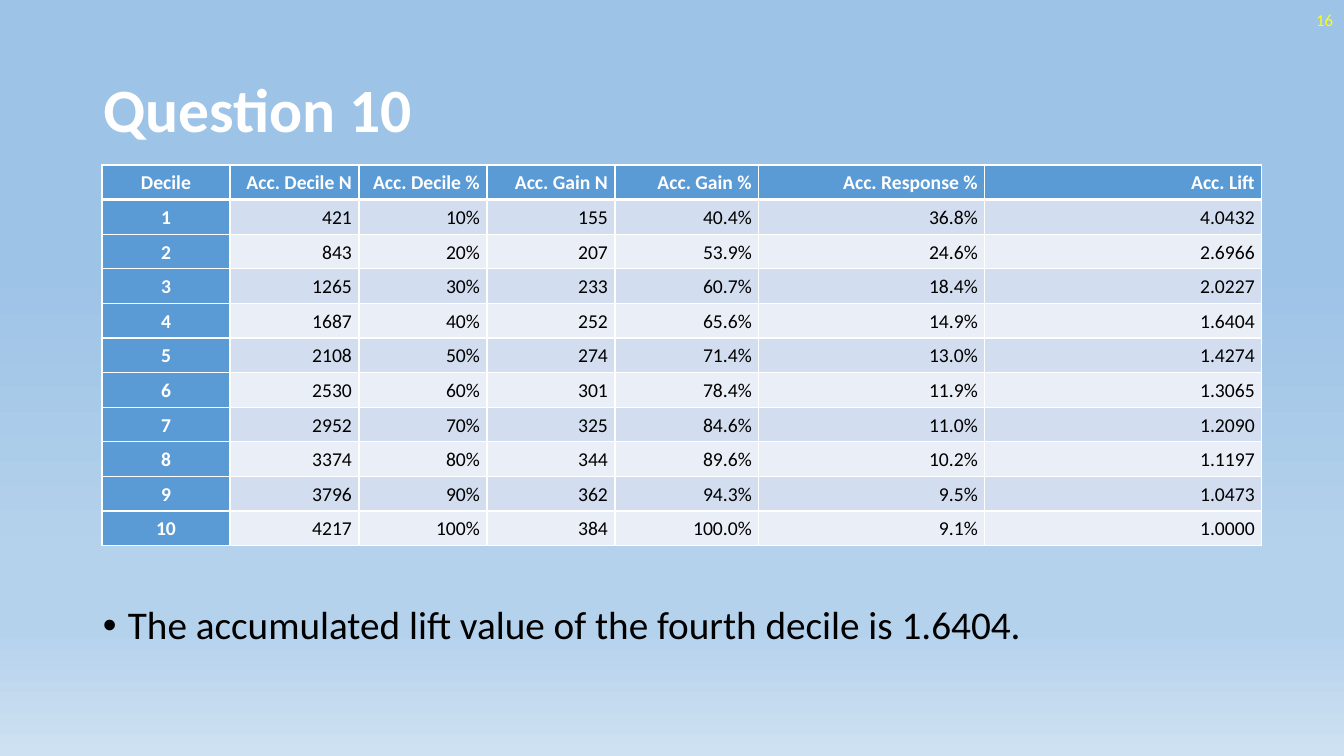
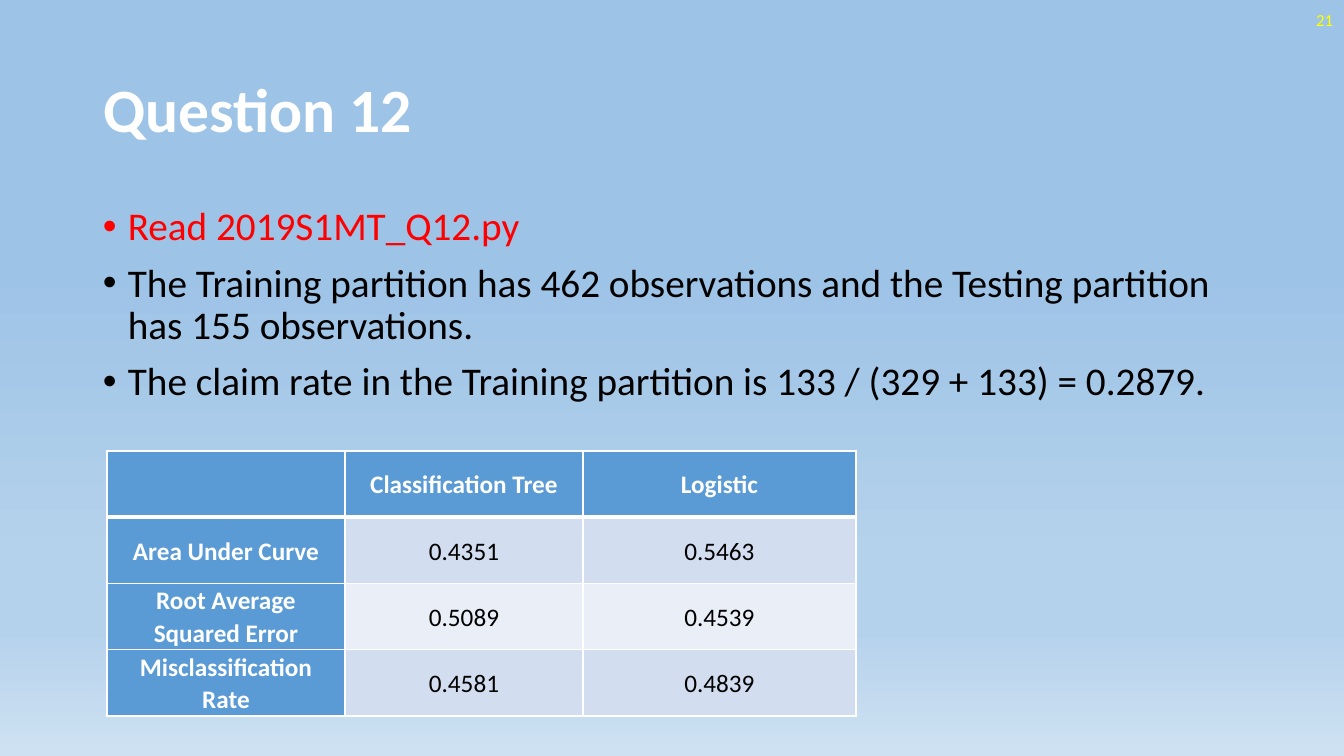
"""Builds two question slides, each with a results table and bulleted findings."""
from copy import deepcopy
from dataclasses import dataclass

from lxml.etree import SubElement
from pptx import Presentation
from pptx.dml.color import RGBColor
from pptx.enum.text import MSO_ANCHOR as Anchor, MSO_AUTO_SIZE as AutoSize, PP_ALIGN as Align
from pptx.oxml.ns import qn
from pptx.util import Emu, Pt

SLIDE_W, SLIDE_H = 1344, 756
EMU_PER_PX = 12192000 / SLIDE_W
FONT = "Calibri"
WHITE, BLACK, RED, YELLOW = "FFFFFF", "000000", "FF0000", "FFFF00"
HEADER_BLUE = "5B9BD5"
BANDS = ("D2DEEF", "EAEFF7")
SKY = ((0.35, "9DC3E6"), (0.74, "B5D2EC"), (0.83, "B5D2EC"), (1.0, "CEE1F2"))


@dataclass(frozen=True)
class Box:
    left: int
    top: int
    width: int
    height: int


@dataclass(frozen=True)
class Bullet:
    text: str
    color: str = BLACK


@dataclass(frozen=True)
class Grid:
    left: int
    top: int
    height: int
    columns: tuple[int, ...]
    rows: tuple[tuple[str, ...], ...]
    size: int
    align: Align
    before: int = 0


@dataclass(frozen=True)
class Question:
    title: str
    page: str
    findings: Box
    bullets: tuple[Bullet, ...]
    results: Grid


TITLE = Box(93, 40, 1159, 146)
PAGE = Box(1041, 0, 302, 40)

DECILES = (
    ("Decile", "Acc. Decile N", "Acc. Decile %", "Acc. Gain N", "Acc. Gain %", "Acc. Response %", "Acc. Lift"),
    ("1", "421", "10%", "155", "40.4%", "36.8%", "4.0432"),
    ("2", "843", "20%", "207", "53.9%", "24.6%", "2.6966"),
    ("3", "1265", "30%", "233", "60.7%", "18.4%", "2.0227"),
    ("4", "1687", "40%", "252", "65.6%", "14.9%", "1.6404"),
    ("5", "2108", "50%", "274", "71.4%", "13.0%", "1.4274"),
    ("6", "2530", "60%", "301", "78.4%", "11.9%", "1.3065"),
    ("7", "2952", "70%", "325", "84.6%", "11.0%", "1.2090"),
    ("8", "3374", "80%", "344", "89.6%", "10.2%", "1.1197"),
    ("9", "3796", "90%", "362", "94.3%", "9.5%", "1.0473"),
    ("10", "4217", "100%", "384", "100.0%", "9.1%", "1.0000"),
)
METRICS = (
    ("", "Classification Tree", "Logistic"),
    ("Area Under Curve", "0.4351", "0.5463"),
    ("Root Average Squared Error", "0.5089", "0.4539"),
    ("Misclassification Rate", "0.4581", "0.4839"),
)
QUESTIONS = (
    Question(
        "Question 10", "16", Box(93, 601, 1159, 80),
        (Bullet("The accumulated lift value of the fourth decile is 1.6404."),),
        Grid(102, 165, 381, (128, 129, 128, 128, 144, 226, 277), DECILES, 14, Align.RIGHT, 6),
    ),
    Question(
        "Question 12", "21", Box(93, 202, 1159, 480),
        (
            Bullet("Read 2019S1MT_Q12.py", RED),
            Bullet("The Training partition has 462 observations and the Testing partition has 155 observations."),
            Bullet("The claim rate in the Training partition is 133 / (329 + 133) = 0.2879."),
        ),
        Grid(107, 451, 265, (238, 238, 273), METRICS, 18, Align.CENTER),
    ),
)


def px(length: float) -> Emu:
    """Turn pixels into EMU."""
    return Emu(round(length * EMU_PER_PX))


def rgb(color: str) -> RGBColor:
    """Turn a hex string into a colour."""
    return RGBColor.from_string(color)


def write_text(paragraph, text: str, *, size: int, color: str = BLACK, bold: bool = False,
               align: Align = Align.LEFT, spacing: float = 1.0, before: int = 0) -> None:
    """Fill a paragraph with one formatted run."""
    paragraph.alignment = align
    paragraph.line_spacing = spacing
    paragraph.space_before = Pt(before)
    run = paragraph.add_run()
    run.text = text
    run.font.name = FONT
    run.font.size = Pt(size)
    run.font.bold = bold
    run.font.color.rgb = rgb(color)


def place(shape, box: Box, anchor: Anchor):
    """Move a text shape to its box and return its text frame."""
    shape.left, shape.top, shape.width, shape.height = map(px, (box.left, box.top, box.width, box.height))
    frame = shape.text_frame
    frame.word_wrap = True
    frame.auto_size = AutoSize.NONE
    frame.vertical_anchor = anchor
    return frame


def add_text_box(slide, box: Box, anchor: Anchor):
    """Add a wrapping text box and return its text frame."""
    return place(slide.shapes.add_textbox(0, 0, 0, 0), box, anchor)


def add_bullet_mark(paragraph) -> None:
    """Give a paragraph a hanging bullet."""
    properties = paragraph._p.get_or_add_pPr()
    properties.set("marL", str(px(25)))
    properties.set("indent", str(px(-25)))
    SubElement(properties, qn("a:buFont")).set("typeface", "Arial")
    SubElement(properties, qn("a:buChar")).set("char", "•")


def add_findings(slide, box: Box, bullets: tuple[Bullet, ...]) -> None:
    """Add the bulleted findings."""
    frame = add_text_box(slide, box, Anchor.TOP)
    for index, bullet in enumerate(bullets):
        paragraph = frame.add_paragraph() if index else frame.paragraphs[0]
        write_text(paragraph, bullet.text, size=28, color=bullet.color, spacing=0.9, before=10)
        add_bullet_mark(paragraph)


def add_borders(cell, top: int, bottom: int) -> None:
    """Draw white borders around a cell, with widths in points."""
    properties = cell._tc.get_or_add_tcPr()
    for side, width in (("L", 1), ("R", 1), ("T", top), ("B", bottom)):
        line = SubElement(properties, qn(f"a:ln{side}"), w=str(Pt(width)))
        fill = SubElement(line, qn("a:solidFill"))
        SubElement(fill, qn("a:srgbClr")).set("val", WHITE)


def add_results(slide, grid: Grid) -> None:
    """Add a table with a header row, a header column and banded rows."""
    count = len(grid.rows)
    table = slide.shapes.add_table(count, len(grid.columns), px(grid.left), px(grid.top),
                                   px(sum(grid.columns)), px(grid.height)).table
    for column, width in zip(table.columns, grid.columns):
        column.width = px(width)
    for r, values in enumerate(grid.rows):
        table.rows[r].height = px(grid.height / count)
        for c, value in enumerate(values):
            cell = table.cell(r, c)
            heading = r == 0 or c == 0
            cell.margin_left = cell.margin_right = px(7)
            cell.margin_top = cell.margin_bottom = 0
            cell.vertical_anchor = Anchor.MIDDLE
            add_borders(cell, top=3 if r == 1 else 1, bottom=3 if r == 0 else 1)
            cell.fill.solid()
            cell.fill.fore_color.rgb = rgb(HEADER_BLUE if heading else BANDS[(r - 1) % 2])
            if value:
                write_text(cell.text_frame.paragraphs[0], value, size=grid.size,
                           color=WHITE if heading else BLACK, bold=heading,
                           align=grid.align if c else Align.CENTER, spacing=1.07, before=grid.before)


def paint_background(master) -> None:
    """Give the master its downward sky gradient."""
    fill = master.background.fill
    fill.gradient()
    fill.gradient_angle = 270
    stops = master.element.xpath(".//p:bg//a:gsLst")[0]
    while len(stops) < len(SKY):
        stops.append(deepcopy(stops[-1]))
    for stop, (position, color) in zip(fill.gradient_stops, SKY):
        stop.position = position
        stop.color.rgb = rgb(color)


def add_question(deck, question: Question) -> None:
    """Add one question slide."""
    slide = deck.slides.add_slide(deck.slide_layouts[5])
    title = place(slide.shapes.title, TITLE, Anchor.MIDDLE)
    write_text(title.paragraphs[0], question.title, size=44, color=WHITE, bold=True, spacing=0.9)
    add_findings(slide, question.findings, question.bullets)
    page = add_text_box(slide, PAGE, Anchor.MIDDLE)
    write_text(page.paragraphs[0], question.page, size=12, color=YELLOW, align=Align.RIGHT)
    add_results(slide, question.results)


def main() -> None:
    """Build and save the deck."""
    deck = Presentation()
    deck.slide_width, deck.slide_height = px(SLIDE_W), px(SLIDE_H)
    paint_background(deck.slide_master)
    for question in QUESTIONS:
        add_question(deck, question)
    deck.save("out.pptx")


if __name__ == "__main__":
    main()
